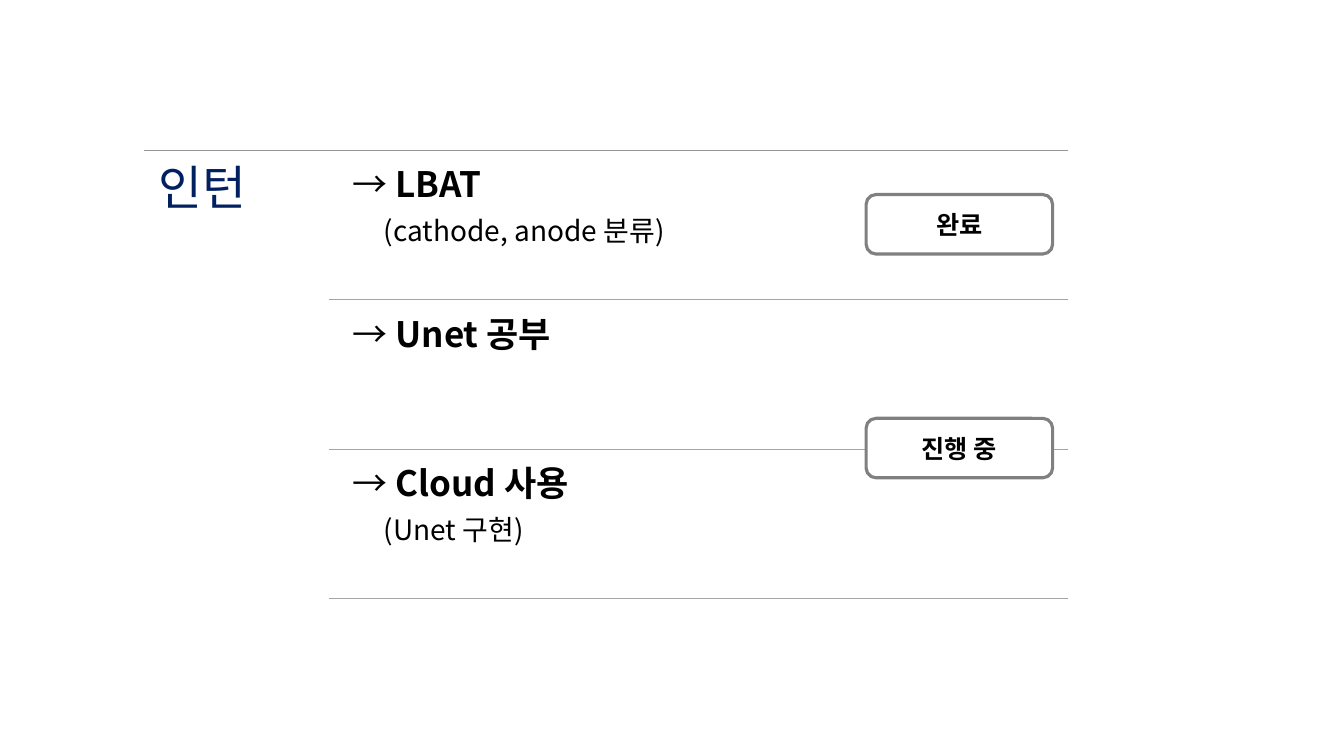
import pptx
import pptx.util
import pptx.dml.color
import pptx.enum.shapes
import pptx.enum.text
import pptx.oxml
import pptx.oxml.ns

WIDE, HIGH = 13.33, 7.5
FONT = "Noto Sans CJK KR"
SPACE = pptx.oxml.ns.nsdecls("a")
# Row grid: three equal rows between the top and bottom rules
LEFT, SPLIT, RIGHT = 1.43, 3.26, 10.59
TOP, BASE = 1.49, 5.94
ROW = (BASE - TOP) / 3
PAD = 0.07

TASKS = [
    ("LBAT", "(cathode, anode 분류)"),
    ("Unet 공부", None),
    ("Cloud 사용", "(Unet 구현)"),
]
STATES = [("완료", 1.93), ("진행 중", 4.15)]


def inch(*sizes):
    return [pptx.util.Inches(size) for size in sizes]


def color(code):
    return pptx.dml.color.RGBColor.from_string(code)


def write(para, text, size=25, bold=False, ink="000000"):
    run = para.add_run()
    run.text = text
    font = run.font
    font.size, font.bold, font.name = pptx.util.Pt(size), bold, FONT
    font.color.rgb = color(ink)
    # Korean glyphs take the East Asian typeface
    face = pptx.oxml.parse_xml(f'<a:ea {SPACE} typeface="{FONT}"/>')
    run._r.get_or_add_rPr().append(face)


def space(para, after=9):
    para.line_spacing = 0.9
    para.space_after = pptx.util.Pt(after)
    return para


def frame(slide, box, inset):
    body = slide.shapes.add_textbox(*inch(*box)).text_frame
    body.word_wrap = True
    body.margin_left = body.margin_right = pptx.util.Inches(inset)
    body.margin_top = body.margin_bottom = pptx.util.Inches(inset)
    return body


def rule(slide, left, y, ink="A5A5A5", width=1):
    kind = pptx.enum.shapes.MSO_CONNECTOR.STRAIGHT
    line = slide.shapes.add_connector(kind, *inch(left, y, RIGHT, y))
    line.line.color.rgb = color(ink)
    line.line.width = pptx.util.Pt(width)
    flat = pptx.oxml.parse_xml(f"<a:effectLst {SPACE}/>")
    line._element.spPr.append(flat)


def task(slide, row, name, note):
    y = TOP + row * ROW
    left = SPLIT + 2 * PAD
    body = frame(slide, (left, y + PAD, RIGHT - left, ROW - PAD), 0.1)
    head = space(body.paragraphs[0])
    write(head, "→ ")
    write(head, name, bold=True)
    if note:
        para = space(body.add_paragraph())
        para._p.get_or_add_pPr().set("marL", str(pptx.util.Inches(0.31)))
        write(para, note, size=20)
    rule(slide, SPLIT, y + ROW)


def badge(slide, text, y):
    kind = pptx.enum.shapes.MSO_SHAPE.ROUNDED_RECTANGLE
    box = slide.shapes.add_shape(kind, *inch(8.59, y, 1.85, 0.59))
    box.shadow.inherit = False
    box.fill.solid()
    box.fill.fore_color.rgb = color("FFFFFF")
    box.line.color.rgb = color("808080")
    box.line.width = pptx.util.Pt(2.25)
    box.text_frame.vertical_anchor = pptx.enum.text.MSO_ANCHOR.MIDDLE
    para = box.text_frame.paragraphs[0]
    para.alignment = pptx.enum.text.PP_ALIGN.CENTER
    write(para, text, size=18, bold=True)


def main():
    deck = pptx.Presentation()
    deck.slide_width, deck.slide_height = inch(WIDE, HIGH)
    slide = deck.slides.add_slide(deck.slide_layouts[6])

    # Section title under the top rule
    rule(slide, LEFT, TOP, ink="969696", width=0.5)
    title = frame(slide, (LEFT, TOP, SPLIT - LEFT, BASE - TOP), 0.14)
    write(space(title.paragraphs[0]), "인턴", size=34, ink="002060")

    # Task rows
    for row, (name, note) in enumerate(TASKS):
        task(slide, row, name, note)

    # Status badges
    for text, y in STATES:
        badge(slide, text, y)

    deck.save("out.pptx")


main()
